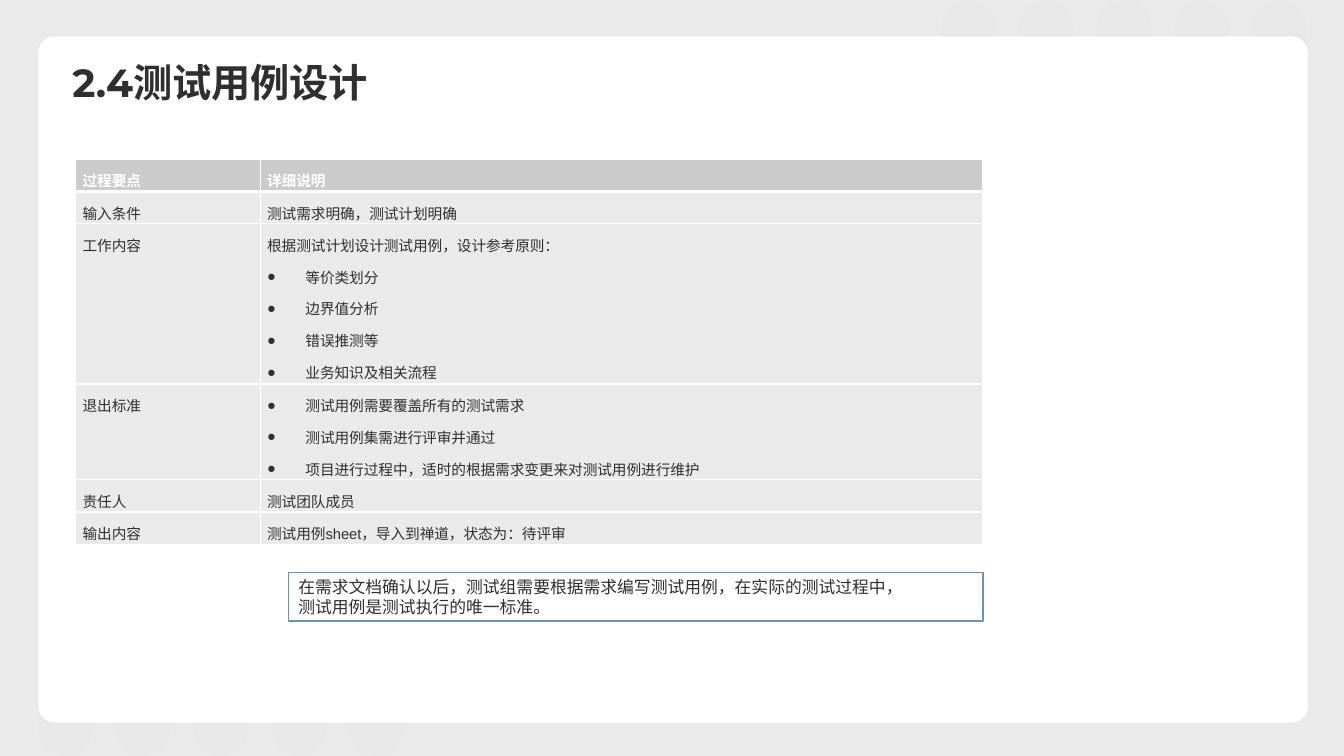
from dataclasses import dataclass

import pptx
import pptx.dml.color
import pptx.enum.shapes
import pptx.enum.text
import pptx.oxml
import pptx.oxml.ns
import pptx.util
from pptx.dml.color import RGBColor
from pptx.util import Inches

WHITE = RGBColor(0xFF, 0xFF, 0xFF)
PALE = RGBColor(0xEA, 0xEA, 0xEA)
GREY = RGBColor(0xCB, 0xCB, 0xCB)
PILL = RGBColor(0xD9, 0xD9, 0xD9)
INK = RGBColor(0x2F, 0x2F, 0x2F)
BLUE = RGBColor(0x6F, 0x91, 0xA9)

SANS = "Noto Sans CJK SC"
KIND = pptx.enum.shapes.MSO_SHAPE
ALIGN = pptx.enum.text.PP_ALIGN
MIDDLE = pptx.enum.text.MSO_ANCHOR.MIDDLE


@dataclass
class Band:
    left: float
    top: float


@dataclass
class Row:
    label: str
    lines: list[str]
    points: list[str]
    height: float = 0.32
    fill: RGBColor = PALE
    color: RGBColor = INK
    bold: bool = False
    edge: float = 1
    font: str = SANS


BANDS = [Band(-0.15, 6.43), Band(8.81, 0.53)]

ROWS = [
    Row("过程要点", ["详细说明"], [], fill=GREY, color=WHITE, bold=True, edge=3),
    Row("输入条件", ["测试需求明确，测试计划明确"], []),
    Row("工作内容", ["根据测试计划设计测试用例，设计参考原则："],
        ["等价类划分", "边界值分析", "错误推测等", "业务知识及相关流程"], height=1.59),
    Row("退出标准", [],
        ["测试用例需要覆盖所有的测试需求", "测试用例集需进行评审并通过",
         "项目进行过程中，适时的根据需求变更来对测试用例进行维护"], height=0.95),
    Row("责任人", ["测试团队成员"], []),
    Row("输出内容", ["测试用例sheet，导入到禅道，状态为：待评审"], [], font="Arial"),
]


def add_xml(host, tag: str, **attrs: str):
    node = host.makeelement(pptx.oxml.ns.qn(tag), attrs)
    host.append(node)
    return node


def style(para, size: float, color: RGBColor, bold: bool = False, face: str = SANS) -> None:
    for run in para.runs:
        run.font.size = pptx.util.Pt(size)
        run.font.bold = bold
        run.font.color.rgb = color
        run.font.name = face
        add_xml(run.font._element, "a:ea", typeface=SANS)


def add_shape(slide, kind, left: float, top: float, width: float, height: float, fill: RGBColor):
    shape = slide.shapes.add_shape(kind, Inches(left), Inches(top), Inches(width), Inches(height))
    shape.shadow.inherit = False
    shape.fill.solid()
    shape.fill.fore_color.rgb = fill
    shape.line.fill.background()
    return shape


def draw_band(slide, band: Band) -> None:
    for step in range(5):
        pill = add_shape(slide, KIND.ROUNDED_RECTANGLE, band.left + 0.77 * step, band.top, 1.6, 0.54, PILL)
        pill.adjustments[0] = 0.5
        pill.rotation = 270
        tint = pill.fill._xPr.find(".//" + pptx.oxml.ns.qn("a:srgbClr"))
        add_xml(tint, "a:alpha", val="10000")


def draw_title(slide) -> None:
    box = slide.shapes.add_textbox(Inches(0.62), Inches(0.59), Inches(3.9), Inches(0.5))
    frame = box.text_frame
    frame.word_wrap = True
    frame.vertical_anchor = MIDDLE
    frame.text = "2.4测试用例设计"
    frame.paragraphs[0].line_spacing = 0.9
    style(frame.paragraphs[0], 28, INK, True, "Montserrat")


def set_edges(cell, base: float) -> None:
    props = cell._tc.get_or_add_tcPr()
    widths = {"a:lnL": 1, "a:lnR": 1, "a:lnT": 1, "a:lnB": base}
    for spot, (tag, width) in enumerate(widths.items()):
        line = add_xml(props, tag, w=str(pptx.util.Pt(width)))
        add_xml(add_xml(line, "a:solidFill"), "a:srgbClr", val=str(WHITE))
        props.insert(spot, line)


def add_bullet(para) -> None:
    props = para._p.get_or_add_pPr()
    props.set("marL", str(Inches(0.38)))
    props.set("indent", str(Inches(-0.38)))
    add_xml(props, "a:buFont", typeface="Arial")
    add_xml(props, "a:buChar", char="●")
    add_xml(add_xml(props, "a:tabLst"), "a:tab", pos=str(Inches(0.29)), algn="l")


def fill_cell(cell, row: Row, lines: list[str], points: list[str]) -> None:
    cell.fill.solid()
    cell.fill.fore_color.rgb = row.fill
    set_edges(cell, row.edge)
    cell.margin_left = cell.margin_right = Inches(0.07)
    cell.margin_top = cell.margin_bottom = 0
    cell.text_frame.text = "\n".join(lines + points)
    for spot, para in enumerate(cell.text_frame.paragraphs):
        if spot >= len(lines):
            add_bullet(para)
        para.alignment = ALIGN.JUSTIFY
        para.line_spacing = 1.5
        style(para, 10.5, row.color, row.bold, row.font)


def draw_table(slide) -> None:
    total = sum(row.height for row in ROWS)
    frame = slide.shapes.add_table(len(ROWS), 2, Inches(0.75), Inches(1.58), Inches(9), Inches(total))
    table = frame.table
    table.horz_banding = False
    for column, width in zip(table.columns, (1.83, 7.17)):
        column.width = Inches(width)
    for spot, row in enumerate(ROWS):
        table.rows[spot].height = Inches(row.height)
        fill_cell(table.cell(spot, 0), row, [row.label], [])
        fill_cell(table.cell(spot, 1), row, row.lines, row.points)


def draw_note(slide) -> None:
    note = add_shape(slide, KIND.RECTANGLE, 2.86, 5.68, 6.89, 0.48, WHITE)
    note.line.color.rgb = BLUE
    note.line.width = pptx.util.Pt(1)
    frame = note.text_frame
    frame.word_wrap = True
    frame.vertical_anchor = MIDDLE
    frame.text = ("在需求文档确认以后，测试组需要根据需求编写测试用例，在实际的测试过程中，\n"
                  "测试用例是测试执行的唯一标准。")
    for para in frame.paragraphs:
        para.alignment = ALIGN.LEFT
        style(para, 12, INK)


def main() -> None:
    deck = pptx.Presentation()
    deck.slide_width = Inches(13.33)
    deck.slide_height = Inches(7.5)
    slide = deck.slides.add_slide(deck.slide_layouts[6])
    slide.background.fill.solid()
    slide.background.fill.fore_color.rgb = PALE
    for band in BANDS:
        draw_band(slide, band)
    panel = add_shape(slide, KIND.ROUNDED_RECTANGLE, 0.38, 0.36, 12.59, 6.81, WHITE)
    panel.adjustments[0] = 0.024
    draw_title(slide)
    draw_table(slide)
    draw_note(slide)
    deck.save("out.pptx")


if __name__ == "__main__":
    main()
